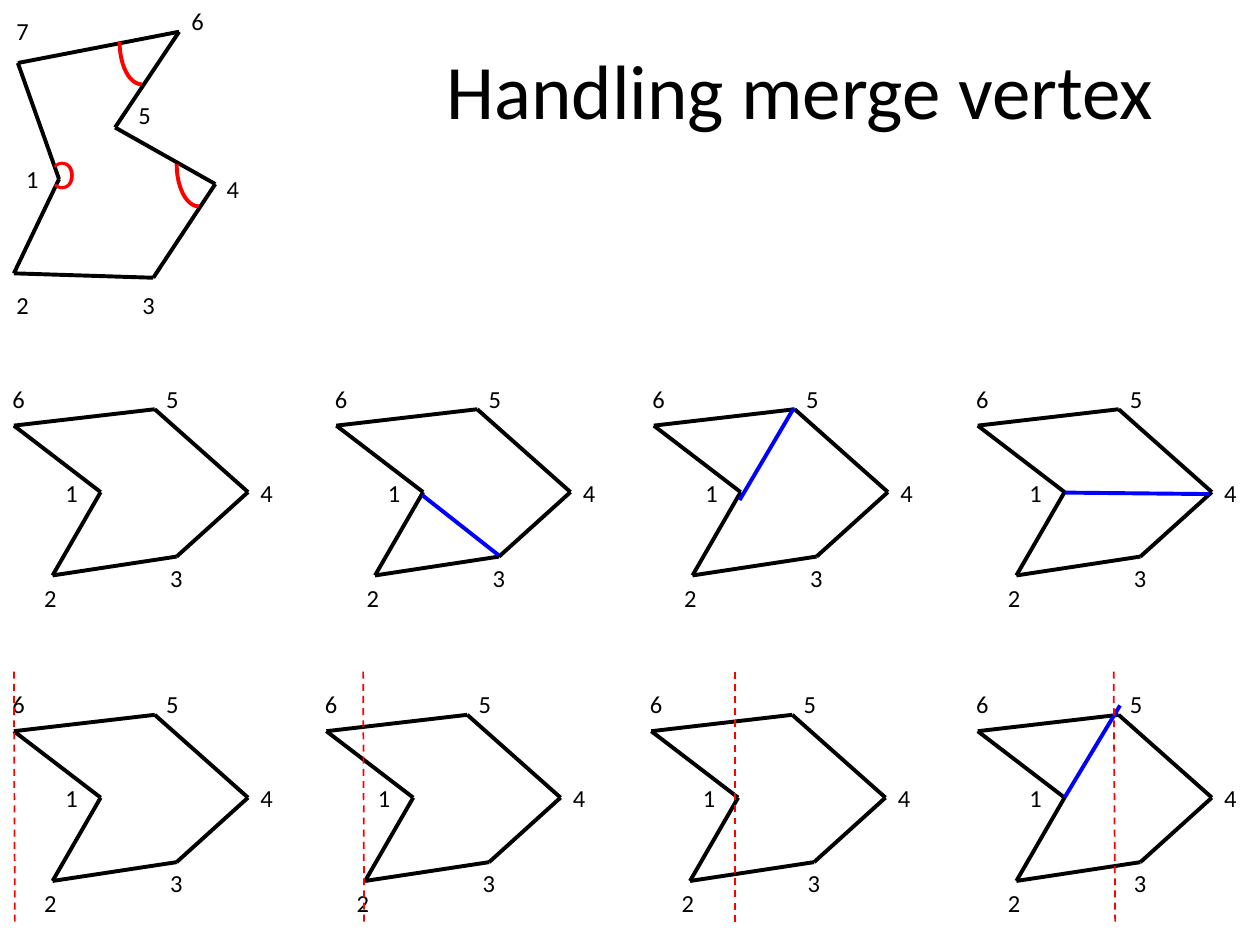
"""Build the slide on handling a merge vertex, with polygons drawn from vertex tables."""
from lxml import etree
from pptx import Presentation
from pptx import util as u
from pptx.dml.color import RGBColor
from pptx.enum import dml, shapes, text
from pptx.oxml.ns import qn

BLACK, RED, BLUE = "000000", "FF0000", "0000FF"
TITLE = ("Handling merge vertex", (8.13, 0.2, 16, 3.18))

MAIN_VERTICES = {
    "1": (1.19, 3.61), "2": (0.28, 5.51), "3": (3.09, 5.6), "4": (4.34, 3.71),
    "5": (2.32, 2.57), "6": (3.61, 0.64), "7": (0.36, 1.27),
}
MAIN_LABELS = {
    "1": (0.28, 3.18), "2": (0.08, 5.72), "3": (2.62, 5.72), "4": (4.32, 3.38),
    "5": (2.54, 1.9), "6": (3.61, 0), "7": (0.08, 0.2),
}
ANGLE_ARCS = [(3.56, 2.46, 0.89, 1.7), (2.41, 0, 0.89, 1.7)]
REFLEX_MARK = ("C", (0.58, 2.97, 1.19, 1.27))

PIECE_VERTICES = {
    "1": (2.03, 2.31), "2": (1.06, 3.99), "3": (3.56, 3.61),
    "4": (5, 2.31), "5": (3.12, 0.64), "6": (0.28, 0.97),
}
PIECE_LABELS = {
    "1": (1.07, 1.9), "2": (0.64, 4.01), "3": (3.18, 3.61),
    "4": (5, 1.9), "5": (3.1, 0), "6": (0, 0),
}
PIECE_ROWS = [(7.61, (0, 6.5, 12.9, 19.43)), (13.77, (0, 6.3, 12.85, 19.43))]
DIAGONALS = [
    ((16, 8.23), (14.91, 10.08)), ((10.06, 11.2), (8.51, 9.98)),
    ((24.38, 9.96), (21.46, 9.93)), ((22.58, 14.22), (21.46, 16.08)),
]
SWEEP_TOP, SWEEP_BOTTOM = 13.54, 18.62
SWEEPS = [(0.28, 0.3), (7.32, 7.34), (14.81, 14.81), (22.45, 22.48)]


def rgb(value):
    return RGBColor.from_string(value)


def set_format(target, **values):
    for name, value in values.items():
        setattr(target, name, value)


def add_line(slide, start, end, color=BLACK, width=2.25, dash=None):
    edge = slide.shapes.add_connector(
        shapes.MSO_CONNECTOR.STRAIGHT, *(u.Cm(v) for v in (*start, *end)))
    edge.line.color.rgb = rgb(color)
    set_format(edge.line, width=u.Pt(width), dash_style=dash)
    etree.SubElement(edge._element.spPr, qn("a:effectLst"))


def add_text(slide, words, place, size=14, color=BLACK, align=None, rotation=0, **frame):
    box = slide.shapes.add_textbox(*map(u.Cm, place))
    box.rotation = rotation
    set_format(box.text_frame, **frame)
    paragraph = box.text_frame.paragraphs[0]
    paragraph.alignment = align
    run = paragraph.add_run()
    run.text = words
    set_format(run.font, size=u.Pt(size), name="Calibri")
    run.font.color.rgb = rgb(color)


def add_polygon(slide, vertices, labels, left=0, top=0):
    corners = [(left + x, top + y) for x, y in vertices.values()]
    for start, end in zip(corners, corners[1:] + corners[:1]):
        add_line(slide, start, end)
    for number, (x, y) in labels.items():
        add_text(slide, number, (left + x, top + y, 0.76, 0.86), word_wrap=False,
                 auto_size=text.MSO_AUTO_SIZE.SHAPE_TO_FIT_TEXT)


def add_angle(slide, place):
    angle = slide.shapes.add_shape(shapes.MSO_SHAPE.ARC, *map(u.Cm, place))
    angle.rotation = 180
    angle.shadow.inherit = False
    angle.fill.background()
    angle.line.color.rgb = rgb(RED)
    angle.line.width = u.Pt(2.25)


def main():
    deck = Presentation()
    set_format(deck, slide_width=u.Cm(25.4), slide_height=u.Cm(19.05))
    slide = deck.slides.add_slide(deck.slide_layouts[6])

    add_text(slide, *TITLE, size=44, align=text.PP_ALIGN.CENTER, word_wrap=True,
             vertical_anchor=text.MSO_ANCHOR.MIDDLE)
    for top, lefts in PIECE_ROWS:
        for left in lefts:
            add_polygon(slide, PIECE_VERTICES, PIECE_LABELS, left, top)
    for start, end in DIAGONALS:
        add_line(slide, start, end, BLUE)
    for upper, lower in SWEEPS:
        add_line(slide, (upper, SWEEP_TOP), (lower, SWEEP_BOTTOM), RED, 1,
                 dml.MSO_LINE.DASH)

    add_polygon(slide, MAIN_VERTICES, MAIN_LABELS)
    for place in ANGLE_ARCS:
        add_angle(slide, place)
    add_text(slide, *REFLEX_MARK, size=24, color=RED, rotation=180, word_wrap=True,
             auto_size=text.MSO_AUTO_SIZE.SHAPE_TO_FIT_TEXT)
    deck.save("out.pptx")


if __name__ == "__main__":
    main()
